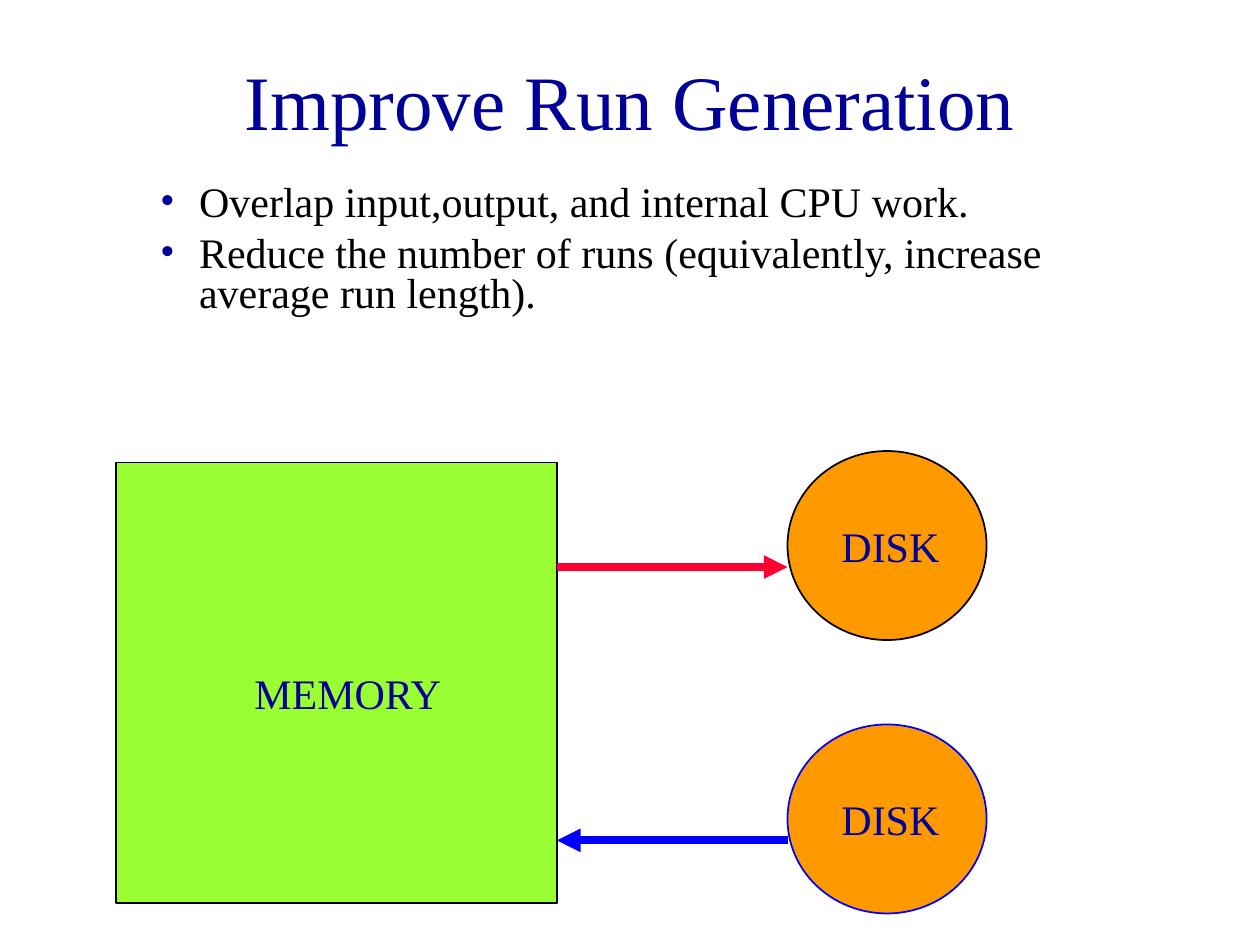
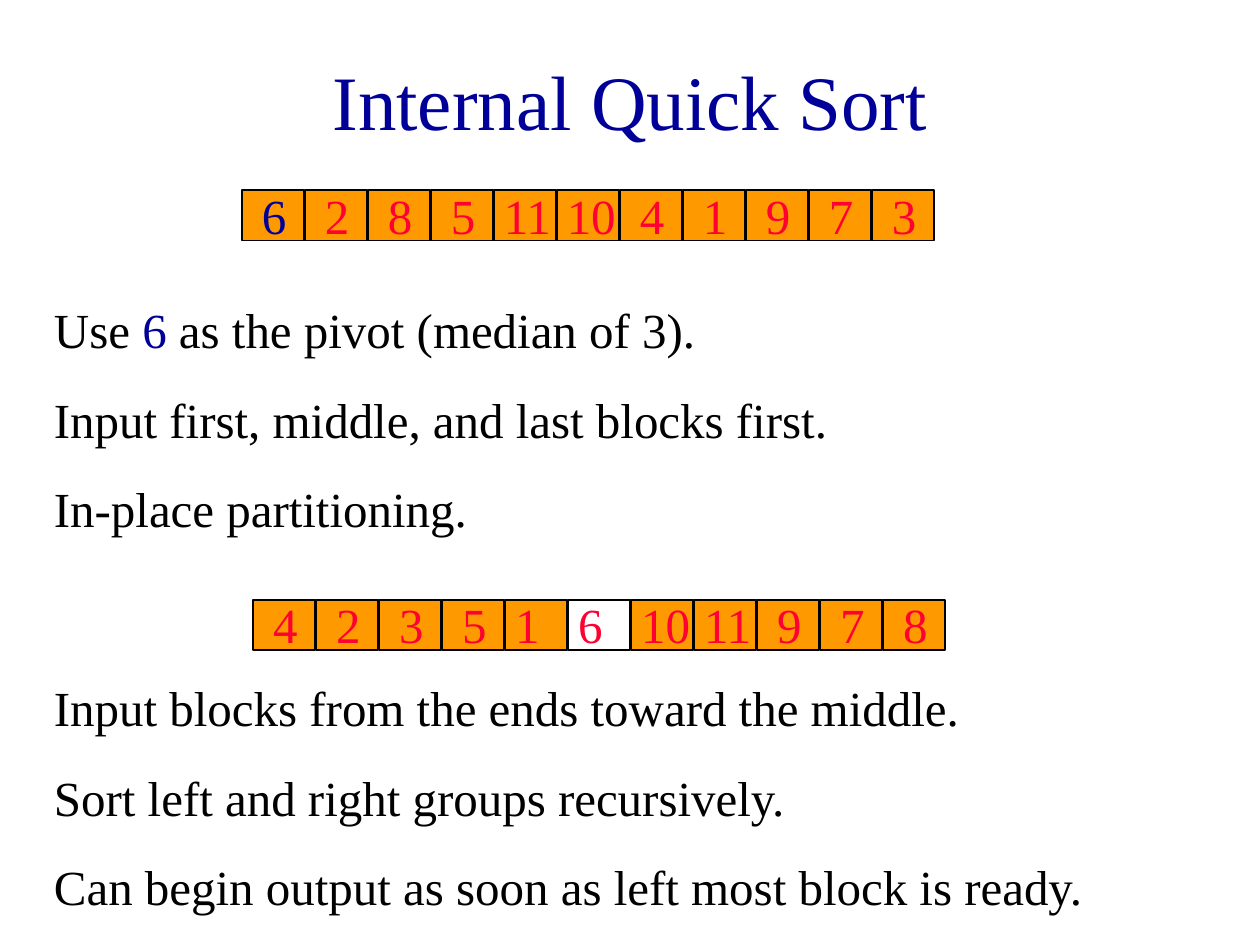
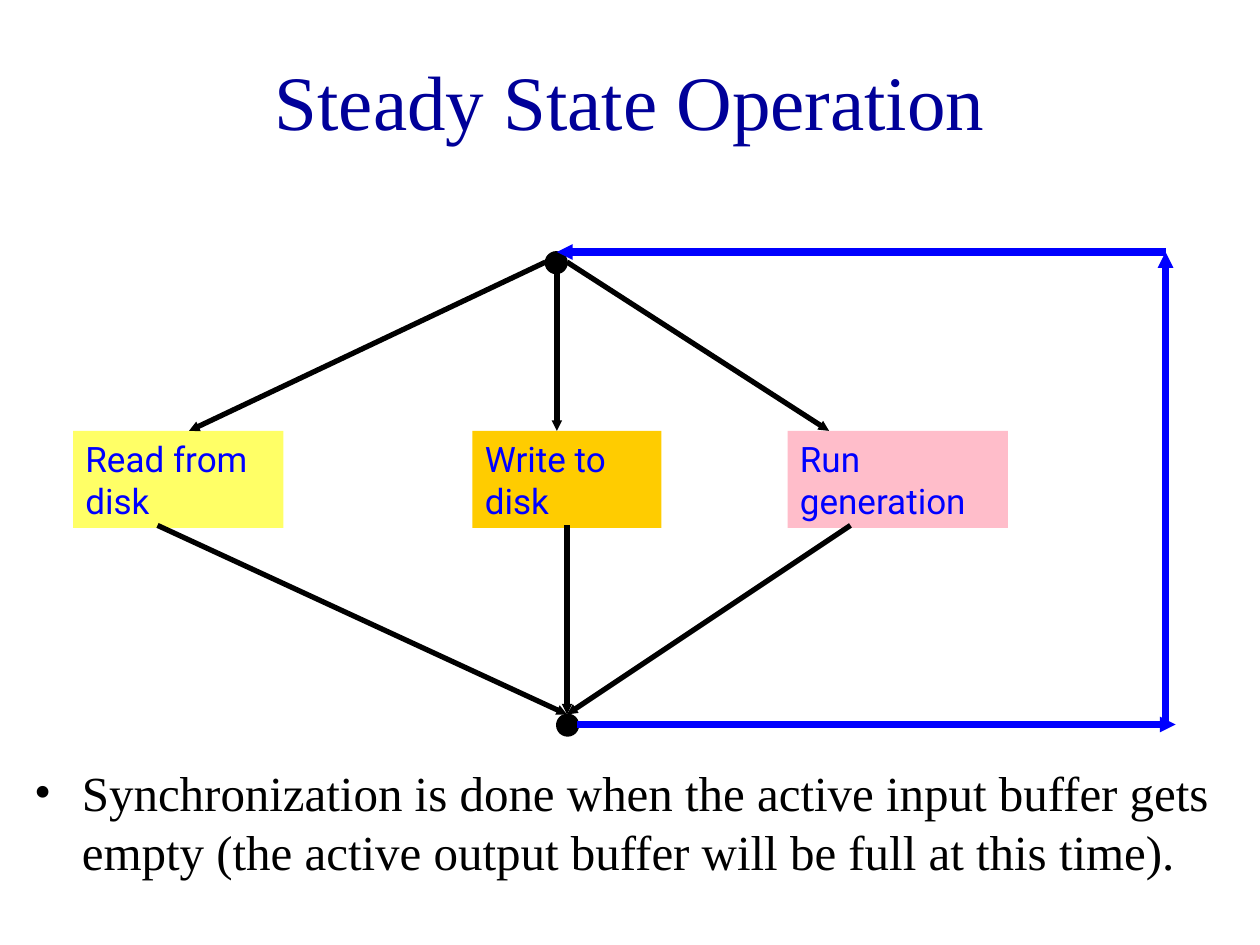
from dataclasses import dataclass

from lxml.etree import SubElement
from pptx import Presentation
from pptx.dml.color import RGBColor
from pptx.enum.shapes import MSO_CONNECTOR as Link, MSO_SHAPE as Preset
from pptx.enum.text import MSO_ANCHOR as Anchor, MSO_AUTO_SIZE as Fit, PP_ALIGN as Align
from pptx.oxml.ns import qn
from pptx.util import Inches, Pt


@dataclass(frozen=True)
class Theme:
    navy: str = "000099"
    black: str = "000000"
    white: str = "FFFFFF"
    blue: str = "0000FF"
    red: str = "FF0033"
    green: str = "99FF33"
    orange: str = "FF9900"
    yellow: str = "FFFF66"
    gold: str = "FFCC00"
    pink: str = "FFBDCA"
    serif: str = "Times New Roman"
    sans: str = "Roboto"
    title: int = 44
    large: int = 28
    medium: int = 24
    small: int = 20
    outline: float = 1
    arrow: float = 3
    thick: float = 4.5


THEME = Theme()


class SlideBuilder:
    def __init__(self, deck, theme):
        self.deck = deck
        self.theme = theme
        self.page = None
        self.canvas = None

    def start(self, title, layout):
        self.page = self.deck.slides.add_slide(self.deck.slide_layouts[layout])
        self.canvas = self.page.shapes
        box = self.page.shapes.title
        self.place(box, 0.75, 0.17, 8.5, 1.25)
        frame = box.text_frame
        frame.auto_size = Fit.NONE
        frame.vertical_anchor = Anchor.MIDDLE
        para = frame.paragraphs[0]
        para.alignment = Align.CENTER
        self.span(para, title, self.theme.title, self.theme.navy)

    def group(self):
        self.canvas = self.page.shapes.add_group_shape().shapes

    def ungroup(self):
        self.canvas = self.page.shapes

    def place(self, box, left, top, width, height):
        box.left, box.top = Inches(left), Inches(top)
        box.width, box.height = Inches(width), Inches(height)

    def span(self, para, text, size, color, font=None):
        span = para.add_run()
        span.text = text
        span.font.size = Pt(size)
        span.font.name = font or self.theme.serif
        span.font.color.rgb = RGBColor.from_string(color)

    def fill(self, box, color):
        box.fill.solid()
        box.fill.fore_color.rgb = RGBColor.from_string(color)

    def paragraphs(self, frame, lines, size, color, font=None):
        frame.word_wrap = True
        frame.vertical_anchor = Anchor.TOP
        frame.auto_size = Fit.SHAPE_TO_FIT_TEXT
        for index, line in enumerate(lines):
            para = frame.add_paragraph() if index else frame.paragraphs[0]
            para.alignment = Align.LEFT
            para.space_before = Pt(size * 0.625)
            for text, tint in line if isinstance(line, list) else [(line, color)]:
                self.span(para, text, size, tint, font)

    def text(self, at, lines, size, color):
        box = self.canvas.add_textbox(*map(Inches, at))
        self.paragraphs(box.text_frame, lines, size, color)

    def shape(self, preset, at, fill, line=None):
        box = self.canvas.add_shape(preset, *map(Inches, at))
        box.shadow.inherit = False
        self.fill(box, fill)
        if line:
            box.line.color.rgb = RGBColor.from_string(line)
            box.line.width = Pt(self.theme.outline)
        else:
            box.line.fill.background()
        return box

    def label(self, at, text, fill):
        box = self.shape(Preset.RECTANGLE, at, fill)
        self.paragraphs(box.text_frame, [text], self.theme.small, self.theme.blue, self.theme.sans)

    def arrow(self, start, end, color, width, head="med"):
        line = self.canvas.add_connector(Link.STRAIGHT, *map(Inches, start + end))
        line.line.color.rgb = RGBColor.from_string(color)
        line.line.width = Pt(width)
        props = line._element.spPr
        SubElement(props.find(qn("a:ln")), qn("a:tailEnd"), type="triangle", w=head, len=head)
        SubElement(props, qn("a:effectLst"))

    def bullets(self, at, lines, size, mark, indent, hang, before, spacing=1.0, level=0):
        box = self.page.placeholders[1]
        self.place(box, *at)
        frame = box.text_frame
        frame.auto_size = Fit.NONE
        frame.vertical_anchor = Anchor.TOP
        for index, line in enumerate(lines):
            para = frame.add_paragraph() if index else frame.paragraphs[0]
            para.level = level
            para.line_spacing = spacing
            para.space_before = Pt(before)
            self.span(para, line, size, self.theme.black)
            props = para._p.get_or_add_pPr()
            props.set("marL", str(Inches(indent)))
            props.set("indent", str(-Inches(hang)))
            SubElement(SubElement(props, qn("a:buClr")), qn("a:srgbClr"), val=mark)
            SubElement(props, qn("a:buFont"), typeface=self.theme.serif)
            SubElement(props, qn("a:buChar"), char="•")
        return box

    def cells(self, left, top, values, wide, pivot_fill, pivot_color):
        theme = self.theme
        self.group()
        for index, value in enumerate(values):
            x = left + index * 0.5
            pivot = value == 6
            fill = pivot_fill if pivot else theme.orange
            color = pivot_color if pivot else theme.red
            self.shape(Preset.RECTANGLE, (x, top, 0.49, 0.4), fill, theme.black)
            shift, width = (-0.02, 0.77) if index in wide else (0.06, 0.52)
            self.text((x + shift, top - 0.09, width, 0.57), [str(value)], theme.large, color)
        self.ungroup()


def run_generation(builder):
    builder.start("Improve Run Generation", 1)
    builder.bullets(
        (0.67, 1.42, 8.75, 1.17),
        ["Overlap input,output, and internal CPU work.",
         "Reduce the number of runs (equivalently, increase average run length)."],
        THEME.medium, THEME.navy, 0.81, 0.31, 6, 0.8, 1)
    builder.group()
    builder.shape(Preset.RECTANGLE, (0.92, 3.67, 3.5, 3.5), THEME.green, THEME.black)
    builder.text((1.92, 5.25, 1.75, 0.5), ["MEMORY"], THEME.medium, THEME.navy)
    for top, line in ((5.75, THEME.blue), (3.58, THEME.black)):
        builder.shape(Preset.OVAL, (6.25, top, 1.58, 1.5), THEME.orange, line)
        builder.text((6.58, top + 0.5, 1.33, 0.5), ["DISK"], THEME.medium, THEME.navy)
    builder.arrow((6.25, 6.67), (4.42, 6.67), THEME.blue, THEME.thick)
    builder.arrow((4.42, 4.5), (6.25, 4.5), THEME.red, THEME.thick)


def quick_sort(builder):
    builder.start("Internal Quick Sort", 5)
    builder.cells(1.92, 1.51, (6, 2, 8, 5, 11, 10, 4, 1, 9, 7, 3), (4, 5),
                  THEME.orange, THEME.navy)
    builder.text(
        (0.33, 2.33, 7.83, 1.99),
        [[("Use ", THEME.black), ("6 ", THEME.navy), ("as the pivot (median of 3).", THEME.black)],
         "Input first, middle, and last blocks first.",
         "In-place partitioning."],
        THEME.large, THEME.black)
    builder.text(
        (0.33, 5.33, 9.08, 1.99),
        ["Input blocks from the ends toward the middle.",
         "Sort left and right groups recursively.",
         "Can begin output as soon as left most block is ready."],
        THEME.large, THEME.black)
    builder.cells(2.01, 4.76, (4, 2, 3, 5, 1, 6, 10, 11, 9, 7, 8), (4, 5, 6, 7),
                  THEME.white, THEME.red)


def steady_state(builder):
    builder.start("Steady State Operation", 1)
    body = builder.bullets(
        (0.17, 6, 9.58, 1.33),
        ["Synchronization is done when the active input buffer gets empty "
         "(the active output buffer will be full at this time)."],
        THEME.large, THEME.black, 0.38, 0.38, 7)
    builder.fill(body, THEME.white)
    builder.group()
    for left, width, text, fill in (
        (0.58, 1.67, "Read from disk", THEME.yellow),
        (3.75, 1.5, "Write to disk", THEME.gold),
        (6.25, 1.75, "Run generation", THEME.pink),
    ):
        builder.label((left, 3.42, width, 0.77), text, fill)
    for left, top in ((4.33, 2), (4.42, 5.67)):
        builder.shape(Preset.OVAL, (left, top, 0.17, 0.17), THEME.black, THEME.black)
    for x in (1.25, 6.75, 4.5):
        builder.arrow((x, 4.17), (4.5, 5.67), THEME.black, THEME.arrow, "sm")
    for start, x in (((4.33, 2.08), 1.5), ((4.42, 2.17), 4.42), ((4.5, 2.08), 6.58)):
        builder.arrow(start, (x, 3.42), THEME.black, THEME.arrow, "sm")
    for start, end in (
        ((4.58, 5.75), (9.33, 5.75)),
        ((9.25, 5.75), (9.25, 2)),
        ((9.25, 2), (4.42, 2)),
    ):
        builder.arrow(start, end, THEME.blue, THEME.thick, "sm")


deck = Presentation()
deck.slide_width, deck.slide_height = Inches(10), Inches(7.5)
builder = SlideBuilder(deck, THEME)
for build in (run_generation, quick_sort, steady_state):
    build(builder)
deck.save("out.pptx")
